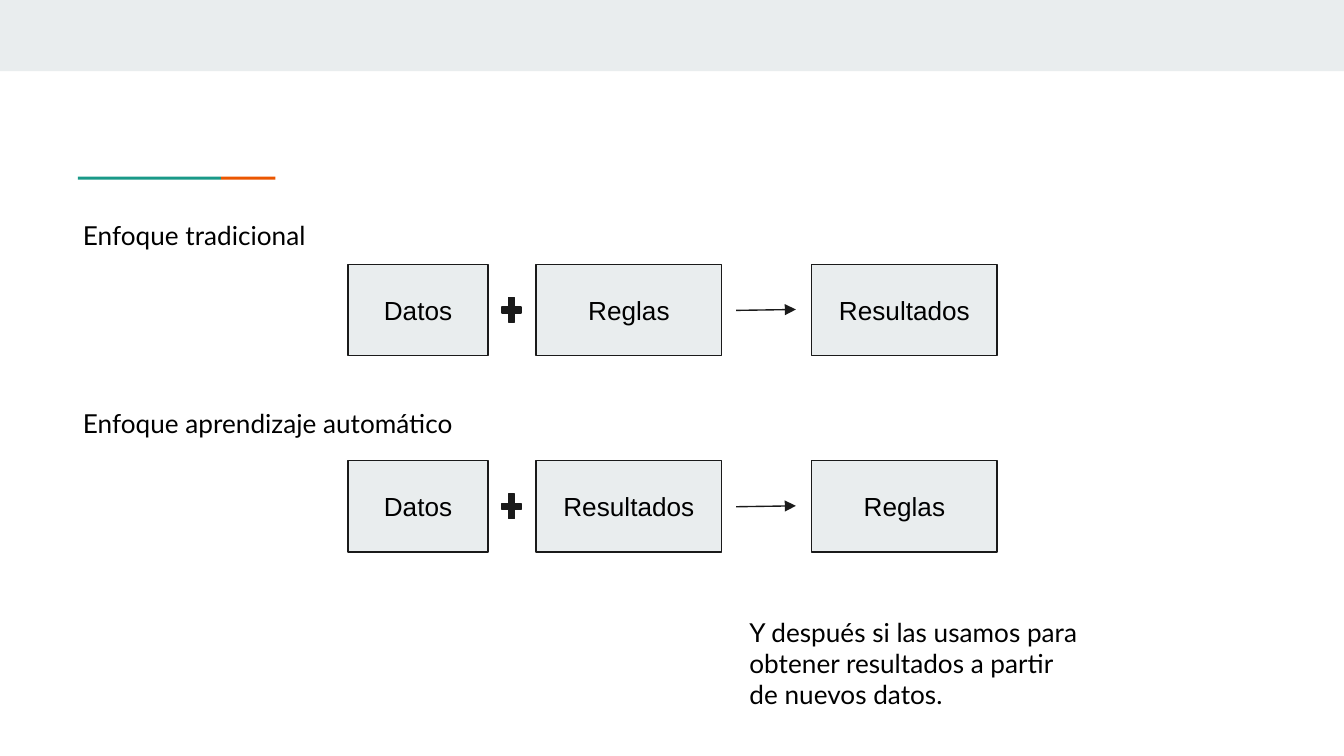
"""Build a slide contrasting traditional programming with machine learning."""
import dataclasses
import typing

import lxml.etree
import pptx
import pptx.dml.color
import pptx.enum.shapes
import pptx.enum.text
import pptx.oxml.ns
import pptx.util

Pt = pptx.util.Pt
RGB = pptx.dml.color.RGBColor.from_string
SHAPES = pptx.enum.shapes.MSO_SHAPE
ALIGN = pptx.enum.text.PP_ALIGN
ANCHOR = pptx.enum.text.MSO_ANCHOR
AUTO = pptx.enum.text.MSO_AUTO_SIZE
qn = pptx.oxml.ns.qn


@dataclasses.dataclass(frozen=True)
class Theme:
    panel: str = "E9EDEE"
    ink: str = "1A1A1A"
    text: str = "000000"
    teal: str = "1A9988"
    orange: str = "EB5600"
    label_font: str = "Lato"
    box_font: str = "Arial"
    size: float = 14
    inset: float = 7.2
    line: float = 0.75


class Rect(typing.NamedTuple):
    x: float
    y: float
    w: float
    h: float


@dataclasses.dataclass(frozen=True)
class Approach:
    label: str
    label_y: float
    box_y: float
    boxes: tuple[str, str, str]


THEME = Theme()
BOX_H = 49
COLUMNS = ((186.5, 75), (287.2, 99.4), (434.8, 99.4))
APPROACHES = (
    Approach("Enfoque tradicional", 110.2, 141.6, ("Datos", "Reglas", "Resultados")),
    Approach("Enfoque aprendizaje automático", 211, 246.8, ("Datos", "Resultados", "Reglas")),
)


def write(tf, text: str, *, font: str, align=ALIGN.LEFT, anchor=ANCHOR.TOP) -> None:
    tf.word_wrap = True
    tf.vertical_anchor = anchor
    tf.margin_left = tf.margin_right = tf.margin_top = tf.margin_bottom = Pt(THEME.inset)
    p = tf.paragraphs[0]
    p.alignment = align
    r = p.add_run()
    r.text = text
    r.font.name = font
    r.font.size = Pt(THEME.size)
    r.font.color.rgb = RGB(THEME.text)


def add_shape(s, rect: Rect, fill: str, *, kind=SHAPES.RECTANGLE, outlined: bool = False):
    sp = s.shapes.add_shape(kind, *map(Pt, rect))
    sp.shadow.inherit = False
    sp.fill.solid()
    sp.fill.fore_color.rgb = RGB(fill)
    if outlined:
        sp.line.color.rgb = RGB(THEME.ink)
        sp.line.width = Pt(THEME.line)
    else:
        sp.line.fill.background()
    return sp


def add_label(s, rect: Rect, text: str) -> None:
    tf = s.shapes.add_textbox(*map(Pt, rect)).text_frame
    write(tf, text, font=THEME.label_font)
    tf.auto_size = AUTO.SHAPE_TO_FIT_TEXT


def add_arrow(s, x1: float, y1: float, x2: float, y2: float) -> None:
    cx = s.shapes.add_connector(
        pptx.enum.shapes.MSO_CONNECTOR.STRAIGHT, *map(Pt, (x1, y1, x2, y2))
    )
    cx.line.color.rgb = RGB(THEME.ink)
    cx.line.width = Pt(THEME.line)
    lxml.etree.SubElement(cx.line._get_or_add_ln(), qn("a:tailEnd"), type="triangle")
    lxml.etree.SubElement(cx._element.spPr, qn("a:effectLst"))


def add_approach(s, approach: Approach) -> None:
    y = approach.box_y
    add_label(s, Rect(37.4, approach.label_y, 496, 31.5), approach.label)
    for (x, w), text in zip(COLUMNS, approach.boxes):
        sp = add_shape(s, Rect(x, y, w, BOX_H), THEME.panel, outlined=True)
        write(sp.text_frame, text, font=THEME.box_font, align=ALIGN.CENTER, anchor=ANCHOR.MIDDLE)
    plus = add_shape(
        s, Rect(267.2, y + 15.4, 13.7, 18), THEME.ink, kind=SHAPES.MATH_PLUS, outlined=True
    )
    plus.adjustments[0] = 0.235
    add_arrow(s, 394.4, y + 24.7, 426.4, y + 24.2)


def main() -> None:
    prs = pptx.Presentation()
    prs.slide_width, prs.slide_height = Pt(720), Pt(405)
    s = prs.slides.add_slide(prs.slide_layouts[6])
    add_shape(s, Rect(0, 0, 720, 38.2), THEME.panel)
    add_shape(s, Rect(41.8, 94.7, 76.6, 1.6), THEME.teal)
    add_shape(s, Rect(118.4, 94.7, 29.1, 1.6), THEME.orange)
    for approach in APPROACHES:
        add_approach(s, approach)
    add_label(
        s,
        Rect(394.4, 322.8, 191.5, 65.5),
        "Y después si las usamos para obtener resultados a partir de nuevos datos.",
    )
    prs.save("out.pptx")


if __name__ == "__main__":
    main()
